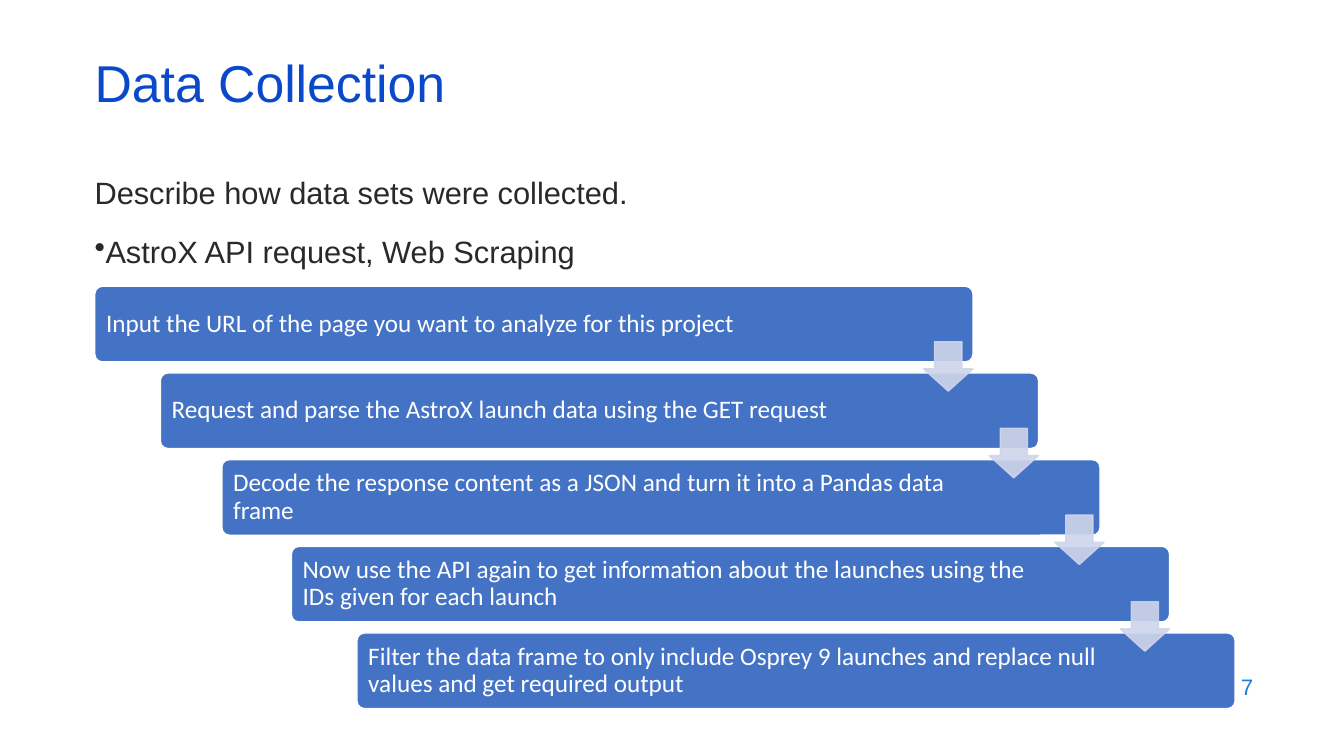
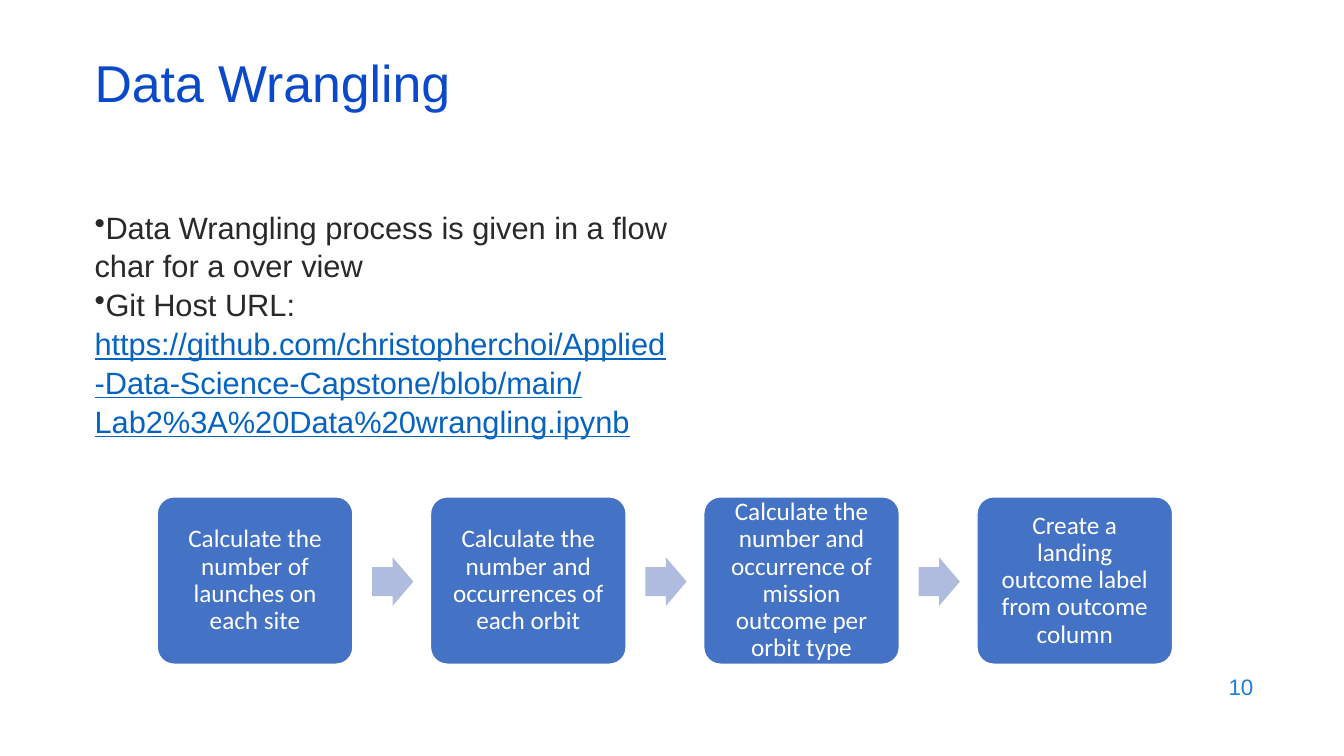
from dataclasses import dataclass
from typing import NamedTuple

from lxml.etree import SubElement
from pptx import Presentation
from pptx.dml.color import RGBColor
from pptx.enum.shapes import MSO_SHAPE
from pptx.enum.text import MSO_ANCHOR, PP_ALIGN
from pptx.oxml.ns import qn
from pptx.util import Pt

SCALE = 9144


class Type(NamedTuple):
    """A font, its size in points and its colour."""
    face: str
    size: int
    color: str


@dataclass(frozen=True)
class Theme:
    """Colours and type styles of the deck."""
    title: Type = Type("Arial", 37, "0B49CB")
    body: Type = Type("Arial", 22, "292929")
    page: Type = Type("Arial", 16, "1C7DDB")
    step: Type = Type("Calibri", 18, "FFFFFF")
    link: str = "0563C1"
    card: str = "4472C4"
    edge: str = "FFFFFF"
    drop: str = "CFD5EA"
    next: str = "B0BCDE"


class Box(NamedTuple):
    """A rectangle in px."""
    left: int
    top: int
    width: int
    height: int


class Line(NamedTuple):
    """A body paragraph, with an optional link text."""
    text: str
    bullet: bool = True
    link: str = ""


class Step(NamedTuple):
    """A stair step and its left edge in px."""
    left: int
    text: str


THEME = Theme()
TITLE = Box(84, 59, 1150, 60)
PAGE = Box(953, 659, 300, 44)

STAIRS = (
    Step(94, "Input the URL of the page you want to analyze for this project"),
    Step(159, "Request and parse the AstroX launch data using the GET request"),
    Step(220, "Decode the response content as a JSON and turn it into a Pandas data frame"),
    Step(289, "Now use the API again to get information about the launches using the IDs given for each launch"),
    Step(354, "Filter the data frame to only include Osprey 9 launches and replace null values and get required output"),
)
FLOW = (
    "Calculate the number of launches on each site",
    "Calculate the number and occurrences of each orbit",
    "Calculate the number and occurrence of mission outcome per orbit type",
    "Create a landing outcome label from outcome column",
)
INTRO = (
    Line("Describe how data sets were collected.", bullet=False),
    Line("AstroX API request, Web Scraping"),
)
NOTES = (
    Line("Data Wrangling process is given in a flow char for a over view"),
    Line("Git Host URL: ", link="https://github.com/christopherchoi/Applied-Data-Science-Capstone/blob/main/Lab2%3A%20Data%20wrangling.ipynb"),
)


def px(value: int) -> int:
    """Turn px into EMU."""
    return value * SCALE


def rgb(color: str) -> RGBColor:
    """Read a hex colour."""
    return RGBColor.from_string(color)


def style(para, kind: Type, align=PP_ALIGN.LEFT, space: float = 1.0) -> None:
    """Set the font, alignment and line spacing of a paragraph."""
    para.alignment = align
    para.line_spacing = space
    font = para.font
    font.name, font.size = kind.face, Pt(kind.size)
    font.color.rgb = rgb(kind.color)


def frame(slide, box: Box, anchor=MSO_ANCHOR.TOP):
    """Add a wrapping text box and return its frame."""
    text = slide.shapes.add_textbox(*map(px, box)).text_frame
    text.word_wrap = True
    text.vertical_anchor = anchor
    return text


def label(slide, box: Box, text: str, kind: Type, align=PP_ALIGN.LEFT, space: float = 1.0) -> None:
    """Add one line of text, centred in height."""
    para = frame(slide, box, MSO_ANCHOR.MIDDLE).paragraphs[0]
    para.add_run().text = text
    style(para, kind, align, space)


def body(slide, box: Box, lines: tuple[Line, ...], gap: int) -> None:
    """Add the body paragraphs."""
    text = frame(slide, box)
    for i, line in enumerate(lines):
        para = text.add_paragraph() if i else text.paragraphs[0]
        if line.bullet:
            props = para._p.get_or_add_pPr()
            SubElement(props, qn("a:buChar"), char="•")
        para.space_before = Pt(gap if i else 0)
        para.add_run().text = line.text
        style(para, THEME.body, space=1.05)
        if line.link:
            run = para.add_run()
            run.text = line.link
            run.font.underline = True
            run.font.color.rgb = rgb(THEME.link)


def shape(slide, kind, box: Box, fill: str, edge: str = "", adjust: tuple[float, ...] = ()):
    """Add a filled preset shape, outlined if an edge colour is given."""
    item = slide.shapes.add_shape(kind, *map(px, box))
    item.shadow.inherit = False
    item.fill.solid()
    item.fill.fore_color.rgb = rgb(fill)
    if edge:
        item.line.color.rgb = rgb(edge)
        item.line.width = Pt(1)
    else:
        item.line.fill.background()
    for i, value in enumerate(adjust):
        item.adjustments[i] = value
    return item


def card(slide, box: Box, words: str, align, left: int, right: int) -> None:
    """Add a rounded step with its text."""
    item = shape(slide, MSO_SHAPE.ROUNDED_RECTANGLE, box, THEME.card, THEME.edge, (0.1,))
    text = item.text_frame
    text.word_wrap = True
    text.vertical_anchor = MSO_ANCHOR.MIDDLE
    text.margin_left, text.margin_right = px(left), px(right)
    text.margin_top = text.margin_bottom = 0
    para = text.paragraphs[0]
    para.add_run().text = words
    style(para, THEME.step, align, 0.9)


def stairs(slide) -> None:
    """Draw the descending steps and the arrows between them."""
    for i, step in enumerate(STAIRS):
        box = Box(step.left, 284 + 86 * i, 871, 75)
        card(slide, box, step.text, PP_ALIGN.LEFT, 9, 124)
    for i in range(len(STAIRS) - 1):
        box = Box(916 + 65 * i, 339 + 86 * i, 49, 49)
        arrow = shape(slide, MSO_SHAPE.DOWN_ARROW, box, THEME.drop, THEME.drop, (0.55, 0.45))
        for color in arrow.element.iter(qn("a:srgbClr")):
            SubElement(color, qn("a:alpha"), val="90000")


def flow(slide) -> None:
    """Draw the row of steps and the arrows between them."""
    for i, words in enumerate(FLOW):
        left = 156 + 271 * i
        if i:
            box = Box(left - 58, 553, 41, 48)
            shape(slide, MSO_SHAPE.RIGHT_ARROW, box, THEME.next, adjust=(0.6, 0.5))
        card(slide, Box(left, 493, 194, 166), words, PP_ALIGN.CENTER, 12, 12)


def page(deck, title: str, number: int):
    """Add a slide with its number and title."""
    slide = deck.slides.add_slide(deck.slide_layouts[6])
    label(slide, PAGE, str(number), THEME.page, PP_ALIGN.RIGHT)
    label(slide, TITLE, title, THEME.title, space=0.7)
    return slide


def main() -> None:
    """Build and save the deck."""
    deck = Presentation()
    deck.slide_width, deck.slide_height = px(1333), px(750)
    slide = page(deck, "Data Collection", 7)
    body(slide, Box(84, 166, 1150, 119), INTRO, 14)
    stairs(slide)
    slide = page(deck, "Data Wrangling", 10)
    body(slide, Box(84, 200, 596, 476), NOTES, 0)
    flow(slide)
    deck.save("out.pptx")


if __name__ == "__main__":
    main()
